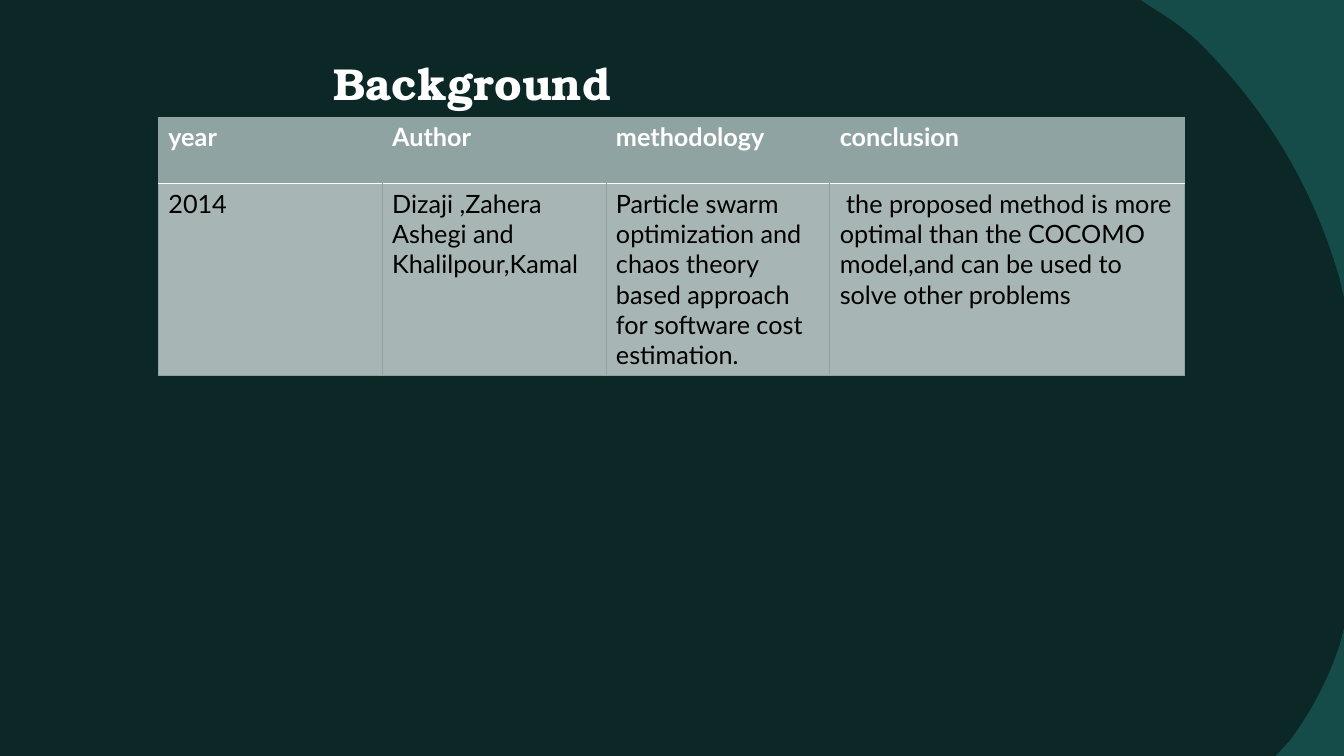
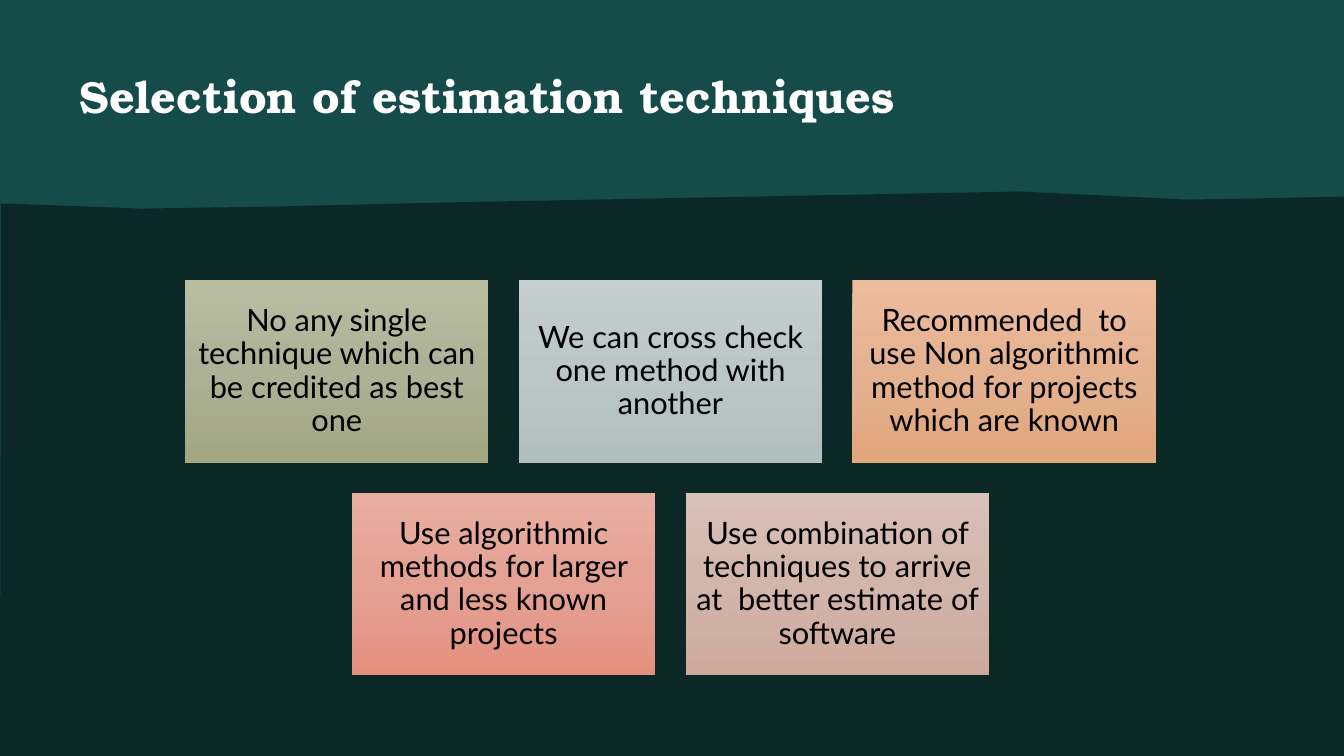
from copy import deepcopy
from dataclasses import dataclass

from lxml import etree
from pptx import Presentation
from pptx.dml.color import RGBColor
from pptx.enum.shapes import MSO_SHAPE
from pptx.enum.text import MSO_ANCHOR, PP_ALIGN
from pptx.oxml.ns import qn
from pptx.util import Inches, Pt

RECT = MSO_SHAPE.RECTANGLE
TOP, MIDDLE = MSO_ANCHOR.TOP, MSO_ANCHOR.MIDDLE
CENTER = PP_ALIGN.CENTER


@dataclass(frozen=True)
class Theme:
    dark: str = "0B2827"
    teal: str = "154C4A"
    white: str = "FFFFFF"
    black: str = "000000"
    head: str = "8FA3A3"
    body: str = "A8B5B5"
    serif: str = "TeX Gyre Bonum"
    sans: str = "Lato"
    title: int = 32
    card: int = 22
    cell: int = 18


T = Theme()
WIDE, HIGH = 13.33, 7.5


def write(para, text, size, font, color, bold=False):
    run = para.add_run()
    run.text = text
    run.font.size = Pt(size)
    run.font.name = font
    run.font.bold = bold
    run.font.color.rgb = RGBColor.from_string(color)


def paint(shape, color):
    shape.shadow.inherit = False
    shape.fill.solid()
    shape.fill.fore_color.rgb = RGBColor.from_string(color)
    shape.line.fill.background()


deck = Presentation()
deck.slide_width, deck.slide_height = Inches(WIDE), Inches(HIGH)

# Title, its place, and the dark outline: one point is a line, three a curve
PAGES = [
    ("Background", 3.31, 0.55, 5.46, 0.61, [
        [(0, 0)], [(11.31, 0)], [(11.62, 0.2)],
        [(11.73, 0.28), (11.83, 0.36), (11.91, 0.44)],
        [(12.52, 1.05), (13, 1.79), (13.28, 2.74)],
        [(13.33, 2.95)], [(13.33, 6.23)], [(13.29, 6.39)],
        [(13.17, 6.75), (13, 7.07), (12.79, 7.35)],
        [(12.65, 7.5)], [(0, 7.5)],
    ]),
    ("Selection of estimation techniques", 0.79, 0.68, 11.73, 0.75, [
        [(10.12, 1.9)], [(11.77, 1.98)], [(12.43, 1.97)], [(13.33, 1.95)],
        [(13.33, 7.5)], [(0, 7.5)], [(0.01, 2.02)], [(0.08, 2.02)],
        [(1.4, 2.07)], [(2.72, 2.05)], [(4.36, 2.01)],
    ]),
]

# Shared backdrop and title
STEPS = 16
slides = []
for title, left, top, width, height, path in PAGES:
    slide = deck.slides.add_slide(deck.slide_layouts[6])
    slides.append(slide)
    slide.background.fill.solid()
    slide.background.fill.fore_color.rgb = RGBColor.from_string(T.dark)
    paint(slide.shapes.add_shape(RECT, 0, 0, Inches(WIDE), Inches(HIGH)), T.teal)

    points = []
    for part in path:
        if len(part) == 1:
            points += part
            continue
        curve = [points[-1], *part]
        for step in range(1, STEPS + 1):
            t = step / STEPS
            rates = (1 - t) ** 3, 3 * t * (1 - t) ** 2, 3 * t * t * (1 - t), t ** 3
            points.append(tuple(sum(r * p[axis] for r, p in zip(rates, curve))
                                for axis in (0, 1)))
    points = [(Inches(x), Inches(y)) for x, y in points]
    pen = slide.shapes.build_freeform(*points[0])
    pen.add_line_segments(points[1:], close=True)
    paint(pen.convert_to_shape(), T.dark)

    frame = slide.shapes.add_textbox(Inches(left), Inches(top),
                                     Inches(width), Inches(height)).text_frame
    frame.word_wrap = True
    frame.vertical_anchor = TOP
    frame.margin_left = frame.margin_right = frame.margin_top = frame.margin_bottom = 0
    write(frame.paragraphs[0], title, T.title, T.serif, T.white, True)

# Background: table of earlier work
ROWS = [
    ["year", "Author", "methodology", "conclusion"],
    ["2014", "Dizaji ,Zahera Ashegi and Khalilpour,Kamal",
     "Particle swarm optimization and chaos theory based approach for software cost estimation.",
     " the proposed method is more optimal than the COCOMO model,and can be used to solve other problems"],
]
COLS, TALL = [2.22, 2.22, 2.22, 3.52], [0.66, 1.9]
table = slides[0].shapes.add_table(len(ROWS), len(COLS), Inches(1.57), Inches(1.16),
                                   Inches(sum(COLS)), Inches(sum(TALL))).table
table.horz_banding = False
for col, width in zip(table.columns, COLS):
    col.width = Inches(width)
for row, height in zip(table.rows, TALL):
    row.height = Inches(height)
for r, texts in enumerate(ROWS):
    first = r == 0
    for c, text in enumerate(texts):
        cell = table.cell(r, c)
        rule, split = (T.head, 0.5), (T.white, 1)
        edges = {
            "a:lnL": None if first and c > 0 else rule,
            "a:lnR": None if first and c < len(COLS) - 1 else rule,
            "a:lnT": rule if first else split,
            "a:lnB": split if first else rule,
        }
        props = cell._tc.get_or_add_tcPr()
        for tag, edge in edges.items():
            line = etree.SubElement(props, qn(tag))
            if edge is None:
                etree.SubElement(line, qn("a:noFill"))
                continue
            line.set("w", str(int(Pt(edge[1]))))
            solid = etree.SubElement(line, qn("a:solidFill"))
            etree.SubElement(solid, qn("a:srgbClr"), val=edge[0])
        cell.fill.solid()
        cell.fill.fore_color.rgb = RGBColor.from_string(T.head if first else T.body)
        write(cell.text_frame.paragraphs[0], text, T.cell, T.sans,
              T.white if first else T.black, first)

# Selection: two centred rows of gradient cards
CARDS = [
    [("No any single technique which can be credited as best one",
      ("B9BDA2", "ADB196", "A2A782")),
     ("We can cross check one method with another",
      ("C6CFCF", "BBC6C6", "B1BFBF")),
     ("Recommended  to use Non algorithmic method for projects which are known",
      ("EDBC9D", "E4B290", "E1A67C"))],
    [("Use algorithmic methods for larger and less known projects",
      ("E9AEA1", "E4A194", "E5907F")),
     ("Use combination of techniques to arrive at  better estimate of software",
      ("D9C0B8", "D2B5AB", "CEAA9D"))],
]
CARD_W, CARD_H, GAP, MID, HEAD = 3.01, 1.81, 0.3, 6.65, 2.78
for r, cards in enumerate(CARDS):
    start = MID - (len(cards) * (CARD_W + GAP) - GAP) / 2
    for c, (text, tints) in enumerate(cards):
        card = slides[1].shapes.add_shape(
            RECT, Inches(start + c * (CARD_W + GAP)), Inches(HEAD + r * (CARD_H + GAP)),
            Inches(CARD_W), Inches(CARD_H))
        card.shadow.inherit = False
        card.line.fill.background()
        card.fill.gradient()
        card.fill.gradient_angle = 270
        stops = card._element.spPr.find(qn("a:gradFill")).find(qn("a:gsLst"))
        stops.insert(1, deepcopy(stops[0]))
        for i, (stop, tint) in enumerate(zip(card.fill.gradient_stops, tints)):
            stop.position = i / 2
            stop.color.rgb = RGBColor.from_string(tint)
        frame = card.text_frame
        frame.word_wrap = True
        frame.vertical_anchor = MIDDLE
        frame.margin_left = frame.margin_right = Inches(0.09)
        frame.margin_top = frame.margin_bottom = Inches(0.09)
        para = frame.paragraphs[0]
        para.alignment = CENTER
        para.line_spacing = 0.9
        write(para, text, T.card, T.sans, T.black)

deck.save("out.pptx")
